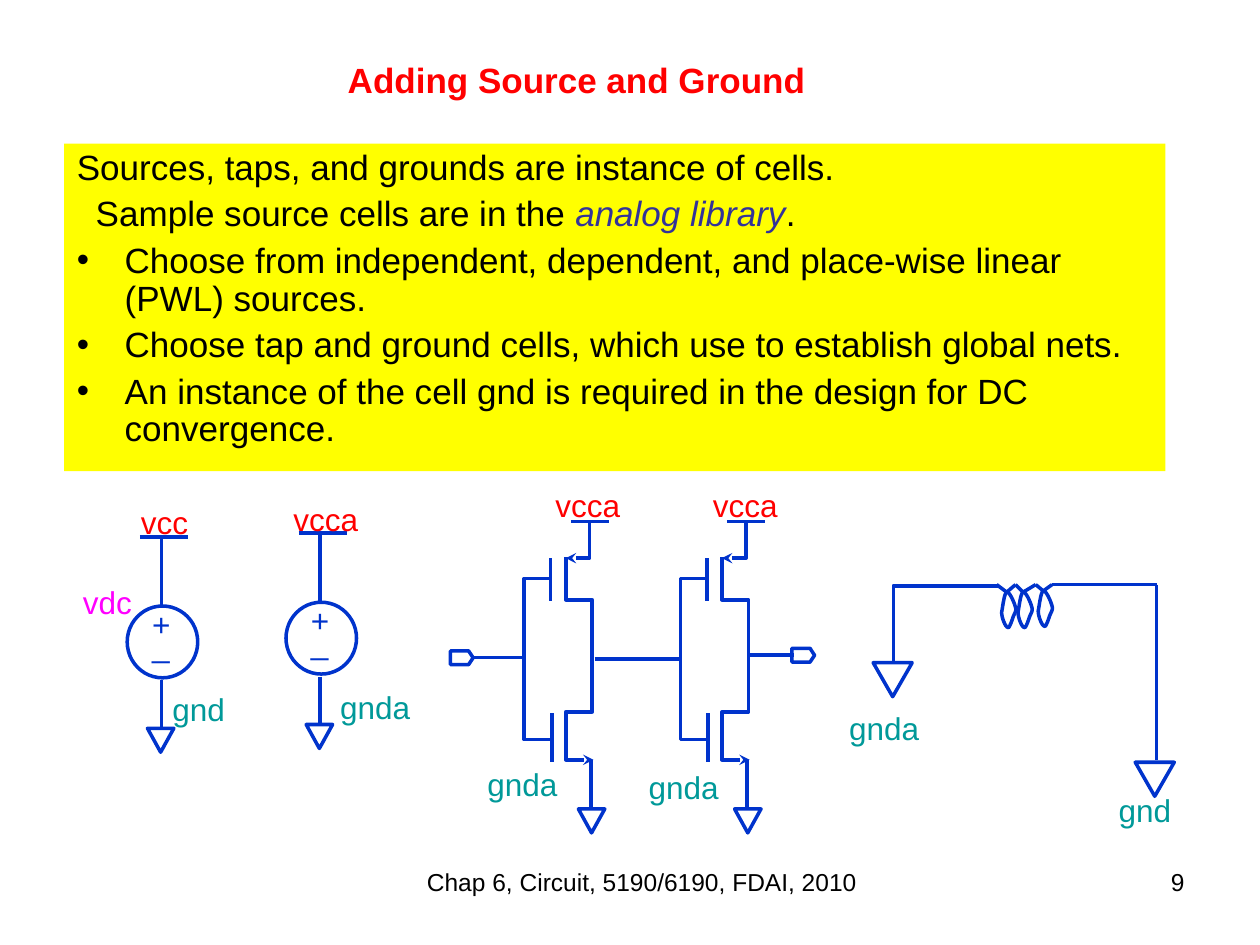
from pptx import Presentation
from pptx.dml.color import RGBColor
from pptx.enum.shapes import MSO_CONNECTOR, MSO_SHAPE
from pptx.enum.text import MSO_ANCHOR, MSO_AUTO_SIZE, PP_ALIGN
from pptx.oxml.ns import qn
from pptx.util import Inches, Pt
from lxml import etree

STRAIGHT = MSO_CONNECTOR.STRAIGHT
ELLIPSE = MSO_SHAPE.OVAL
GROUND = MSO_SHAPE.FLOWCHART_MERGE
PORT = MSO_SHAPE.FLOWCHART_OFFPAGE_CONNECTOR
LEFT, CENTER, RIGHT = PP_ALIGN.LEFT, PP_ALIGN.CENTER, PP_ALIGN.RIGHT
MIDDLE, TOP = MSO_ANCHOR.MIDDLE, MSO_ANCHOR.TOP
NO_FIT = MSO_AUTO_SIZE.NONE

FONT = "Arial"
COLORS = {
    "wire": "0033CC", "supply": "FF0000", "ground": "009999", "source": "FF00FF",
    "text": "000000", "accent": "333399", "panel": "FFFF00",
}
LOOP = [
    (0.04, 0.01), (0.06, 0), (0.1, 0.09), (0.11, 0.13), (0.12, 0.16), (0.1, 0.18),
    (0.09, 0.21), (0.08, 0.24), (0.06, 0.3), (0.05, 0.29), (0.03, 0.29), (0, 0.21),
    (0, 0.17), (0.01, 0.12), (0.02, 0.02), (0.04, 0.01),
]


def color(name):
    """Return the named colour."""
    return RGBColor.from_string(COLORS[name])


def add_span(para, text, size, tint="text", bold=False, italic=False):
    """Append one formatted run to a paragraph."""
    span = para.add_run()
    span.text = text
    span.font.name, span.font.size = FONT, Pt(size)
    span.font.bold, span.font.italic = bold, italic
    span.font.color.rgb = color(tint)


def place(shape, box):
    """Move and size a shape to a box in inches."""
    shape.left, shape.top, shape.width, shape.height = (Inches(v) for v in box)


def ink(shape):
    """Give a shape the wire line."""
    shape.line.color.rgb = color("wire")
    shape.line.width = Pt(2)


def add_wire(page, origin, start, end):
    """Draw a straight wire between two points offset from the origin."""
    ends = [Inches(o + v) for point in (start, end) for o, v in zip(origin, point)]
    wire = page.shapes.add_connector(STRAIGHT, *ends)
    ink(wire)
    etree.SubElement(wire._element.spPr, qn("a:effectLst"))


def add_route(page, origin, points, closed=False, arrow=False):
    """Draw an unfilled outline through points offset from the origin."""
    spots = [(Inches(origin[0] + x), Inches(origin[1] + y)) for x, y in points]
    builder = page.shapes.build_freeform(*spots[0])
    builder.add_line_segments(spots[1:], close=closed)
    route = builder.convert_to_shape()
    route.fill.background()
    route.shadow.inherit = False
    ink(route)
    if arrow:
        etree.SubElement(route._element.spPr.get_or_add_ln(), qn("a:tailEnd"), type="stealth")


def add_symbol(page, origin, kind, box, rotation=0):
    """Draw an unfilled preset shape offset from the origin."""
    left, top, width, height = box
    symbol = page.shapes.add_shape(kind, 0, 0, 0, 0)
    place(symbol, (origin[0] + left, origin[1] + top, width, height))
    symbol.rotation = rotation
    symbol.fill.background()
    symbol.shadow.inherit = False
    ink(symbol)


def add_label(page, box, lines, tint, size=18, align=LEFT, before=11.2, spacing=None):
    """Write a text box with one paragraph for each line."""
    label = page.shapes.add_textbox(*(Inches(v) for v in box))
    frame = label.text_frame
    frame.word_wrap = True
    for index, line in enumerate(lines):
        para = frame.add_paragraph() if index else frame.paragraphs[0]
        para.alignment, para.space_before = align, Pt(before)
        para.line_spacing = spacing
        add_span(para, line, size, tint)


def add_title(page, box):
    """Fill the title placeholder."""
    title = page.shapes.title
    place(title, box)
    frame = title.text_frame
    frame.vertical_anchor, frame.auto_size = MIDDLE, NO_FIT
    para = frame.paragraphs[0]
    para.alignment = LEFT
    add_span(para, "Adding Source and Ground", 20, "supply", bold=True)


def add_body(page, box):
    """Fill the yellow body placeholder with the introduction and bullets."""
    body = page.placeholders[1]
    place(body, box)
    body.fill.solid()
    body.fill.fore_color.rgb = color("panel")
    frame = body.text_frame
    frame.vertical_anchor, frame.auto_size = TOP, NO_FIT
    items = [
        (-0.38, False, ["Sources, taps, and grounds are instance of cells."]),
        (-0.23, False, ["Sample source cells are in the ", "analog library", "."]),
        (-0.38, True, ["Choose from independent, dependent, and place-wise linear (PWL) sources."]),
        (-0.38, True, ["Choose tap and ground cells, which use to establish global nets."]),
        (-0.38, True, ["An instance of the cell gnd is required in the design for DC convergence."]),
    ]
    for index, (indent, bulleted, texts) in enumerate(items):
        para = frame.add_paragraph() if index else frame.paragraphs[0]
        para.line_spacing, para.space_before = 0.9, Pt(5)
        for number, text in enumerate(texts):
            accent = number == 1
            add_span(para, text, 20, "accent" if accent else "text", italic=accent)
        props = para._p.get_or_add_pPr()
        props.set("marL", str(Inches(0.38)))
        props.set("indent", str(Inches(indent)))
        if bulleted:
            etree.SubElement(props, qn("a:buChar"), char="•")
        else:
            etree.SubElement(props, qn("a:buNone"))


def add_source(page, origin):
    """Draw a voltage source between a supply rail and a ground."""
    add_wire(page, origin, (0.1, 0), (0.48, 0))
    add_wire(page, origin, (0.27, 0), (0.27, 0.54))
    add_symbol(page, origin, ELLIPSE, (0, 0.55, 0.56, 0.57))
    add_wire(page, origin, (0.27, 1.14), (0.27, 1.53))
    add_symbol(page, origin, GROUND, (0.16, 1.52, 0.21, 0.19))
    add_label(page, (origin[0] + 0.1, origin[1] + 0.73, 0.5, 0.29), ["+", "_"], "wire", spacing=0.05)


def add_inverter(page, origin):
    """Draw a two-transistor inverter between a supply rail and a ground."""
    add_wire(page, origin, (0.37, 0.01), (0.67, 0.01))
    add_route(page, origin, [(0.52, 0), (0.52, 0.3), (0.33, 0.3)], arrow=True)
    channel = [(0.33, 0.29), (0.33, 0.63), (0.54, 0.63), (0.54, 1.52),
               (0.33, 1.52), (0.33, 1.9), (0.55, 1.9)]
    add_route(page, origin, channel, arrow=True)
    add_wire(page, origin, (0.21, 0.3), (0.21, 0.64))
    add_wire(page, origin, (0.22, 1.53), (0.22, 1.92))
    add_wire(page, origin, (0.53, 1.9), (0.53, 2.29))
    add_route(page, origin, [(0.21, 0.46), (0, 0.46), (0, 1.74), (0.22, 1.74)])
    add_symbol(page, origin, GROUND, (0.43, 2.29, 0.21, 0.19))


def add_buffer(page, origin, pitch):
    """Draw two chained inverters with an input and an output port."""
    for stage in range(2):
        add_inverter(page, (origin[0] + stage * pitch, origin[1]))
    for start, end in [((-0.4, 1.09), (0.01, 1.09)), ((0.56, 1.1), (1.24, 1.1)), ((1.78, 1.07), (2.14, 1.07))]:
        add_wire(page, origin, start, end)
    for left, top in [(-0.55, 1), (2.16, 0.98)]:
        add_symbol(page, origin, PORT, (left, top, 0.11, 0.18), 270)


def curve_points(controls, steps=8):
    """Sample a chain of cubic curves."""
    points = [controls[0]]
    for first in range(0, len(controls) - 1, 3):
        for step in range(1, steps + 1):
            t = step / steps
            weights = [(1 - t) ** 3, 3 * t * (1 - t) ** 2, 3 * t * t * (1 - t), t ** 3]
            pairs = list(zip(weights, controls[first:first + 4]))
            points.append(tuple(sum(w * p[axis] for w, p in pairs) for axis in (0, 1)))
    return points


def add_inductor(page, origin):
    """Draw a coil whose two ends drop to grounds."""
    add_route(page, origin, [(0.16, 0.61), (0.16, 0.01), (1, 0.01)])
    for left, top in [(1.02, 0.05), (1.15, 0.05), (1.31, 0.04)]:
        add_route(page, (origin[0] + left, origin[1] + top), curve_points(LOOP)[:-1], closed=True)
    turns = [(0.98, 0), (1.06, 0.06), (1.13, 0), (1.19, 0.06), (1.29, 0), (1.35, 0.05), (1.42, 0), (2.25, 0), (2.25, 1.39)]
    for start, end in zip(turns, turns[1:]):
        add_wire(page, origin, start, end)
    for left, top in [(0, 0.62), (2.08, 1.41)]:
        add_symbol(page, origin, GROUND, (left, top, 0.31, 0.27))


def add_net_labels(page):
    """Name the supplies, the source and the grounds."""
    labels = [
        ("vcc", "supply", 1.02, 3.94, 0.6), ("vdc", "source", 0.56, 4.58, 0.6),
        ("gnd", "ground", 1.27, 5.43, 0.72), ("vcca", "supply", 2.23, 3.92, 0.84),
        ("gnda", "ground", 2.6, 5.41, 0.91), ("gnda", "ground", 5.05, 6.05, 0.91),
        ("gnda", "ground", 3.77, 6.02, 0.91), ("vcca", "supply", 4.31, 3.81, 0.84),
        ("vcca", "supply", 5.56, 3.81, 0.84), ("gnda", "ground", 6.64, 5.58, 0.91),
        ("gnd", "ground", 8.78, 6.23, 0.91),
    ]
    for text, tint, left, top, width in labels:
        add_label(page, (left, top, width, 0.4), [text], tint)


def main():
    """Build and save the deck."""
    deck = Presentation()
    deck.slide_width, deck.slide_height = Inches(10), Inches(7.5)
    page = deck.slides.add_slide(deck.slide_layouts[1])
    add_label(page, (1.59, 6.83, 7.01, 0.52), ["Chap 6, Circuit, 5190/6190, FDAI, 2010"], "text", 14, CENTER, 0)
    add_label(page, (7.17, 6.83, 2.33, 0.52), ["9"], "text", 14, RIGHT, 0)
    add_title(page, (2.66, 0.3, 4.54, 0.66))
    add_body(page, (0.51, 1.14, 8.74, 2.6))
    add_source(page, (1.01, 4.26))
    add_source(page, (2.27, 4.23))
    add_buffer(page, (4.16, 4.13), 1.24)
    add_inductor(page, (6.93, 4.64))
    add_net_labels(page)
    deck.save("out.pptx")


if __name__ == "__main__":
    main()
